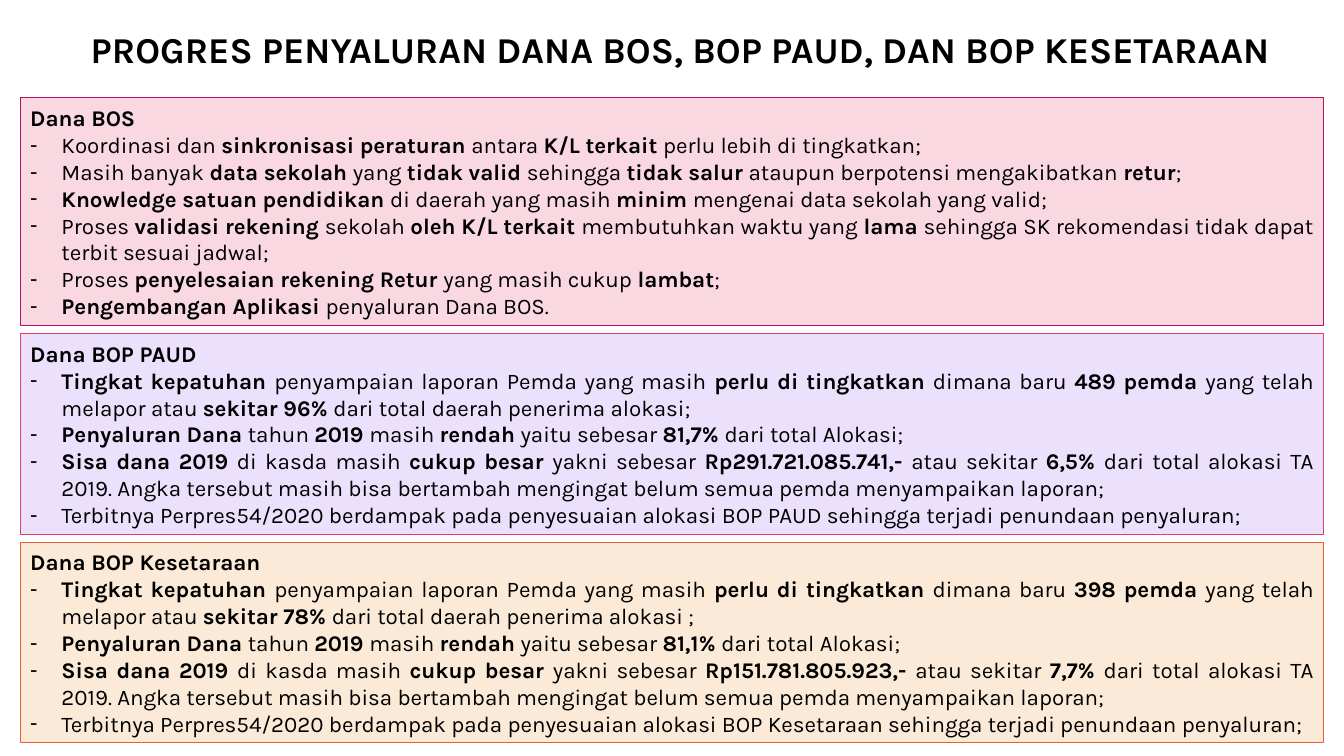
from lxml import etree
from pptx import Presentation
from pptx.dml.color import RGBColor
from pptx.enum.text import MSO_ANCHOR, MSO_AUTO_SIZE, PP_ALIGN
from pptx.oxml.ns import qn
from pptx.util import Inches, Pt

LEFT, JUST = PP_ALIGN.LEFT, PP_ALIGN.JUSTIFY
MID, NONE = MSO_ANCHOR.MIDDLE, MSO_AUTO_SIZE.NONE

THEME = {
    "font": "Karla", "text": "000000", "title": 26, "body": 16, "line": 0.75,
    "bos": ("F9D8E2", "B31166"),
    "paud": ("EBE1FC", "E33D6F"),
    "equal": ("FBEAD8", "E45F3C"),
}

# Grid in inches: each panel is as tall as its lines of text plus insets
WIDE, HIGH = 13.33, 7.5
SIDE, START, GAP = 0.2, 0.97, 0.08
ROW, INSET, HANG = 0.27, 0.1, 0.31

# Wording: ** switches bold on and off
BOS = [
    "Koordinasi dan **sinkronisasi peraturan **antara **K/L terkait **perlu lebih di tingkatkan;",
    "Masih banyak **data sekolah **yang **tidak valid **sehingga **tidak salur **"
    "ataupun berpotensi mengakibatkan **retur**;",
    "**Knowledge satuan pendidikan **di daerah yang masih **minim **mengenai data sekolah yang valid;",
    "Proses **validasi rekening **sekolah **oleh K/L terkait **membutuhkan waktu yang **lama **"
    "sehingga SK rekomendasi tidak dapat terbit sesuai jadwal;",
    "Proses **penyelesaian rekening Retur **yang masih cukup **lambat**;",
    "**Pengembangan Aplikasi **penyaluran Dana BOS.",
]
BOP = [
    "**Tingkat kepatuhan **penyampaian laporan Pemda yang masih **perlu di tingkatkan **"
    "dimana baru **{count} pemda **yang telah melapor atau **sekitar {share} **"
    "dari total daerah penerima {end}",
    "**Penyaluran Dana **tahun **2019 **masih **rendah **yaitu sebesar **{paid} **dari total Alokasi;",
    "**Sisa dana 2019 **di kasda masih **cukup besar **yakni sebesar **{rest} **"
    "atau sekitar **{part} **dari total alokasi TA 2019. Angka tersebut masih bisa bertambah "
    "mengingat belum semua pemda menyampaikan laporan;",
    "Terbitnya Perpres54/2020 berdampak pada penyesuaian alokasi BOP {name} "
    "sehingga terjadi penundaan penyaluran;",
]
PAUD = {"name": "PAUD", "count": 489, "share": "96%", "end": "alokasi;",
        "paid": "81,7%", "rest": "Rp291.721.085.741,-", "part": "6,5%"}
EQUAL = {"name": "Kesetaraan", "count": 398, "share": "78%", "end": "alokasi ;",
         "paid": "81,1%", "rest": "Rp151.781.805.923,-", "part": "7,7%"}
PANELS = [
    ("bos", "Dana BOS", BOS, 8),
    ("paud", "Dana BOP PAUD", [t.format(**PAUD) for t in BOP], 7),
    ("equal", "Dana BOP Kesetaraan", [t.format(**EQUAL) for t in BOP], 7),
]


def place(shape, box, insets):
    for key, val in zip(("left", "top", "width", "height"), box):
        setattr(shape, key, Inches(val))
    form = {"vertical_anchor": MID, "word_wrap": True, "auto_size": NONE}
    for key, val in zip(("left", "top", "right", "bottom"), insets):
        form["margin_" + key] = Inches(val)
    for key, val in form.items():
        setattr(shape.text_frame, key, val)


def write(para, text, size, style):
    for key, val in style.items():
        setattr(para, key, val)
    for i, part in enumerate(text.split("**")):
        if part:
            run = para.add_run()
            run.text = part
            form = {"name": THEME["font"], "size": Pt(size), "bold": i % 2 == 1}
            for key, val in form.items():
                setattr(run.font, key, val)
            run.font.color.rgb = RGBColor.from_string(THEME["text"])


deck = Presentation()
deck.slide_width, deck.slide_height = Inches(WIDE), Inches(HIGH)
slide = deck.slides.add_slide(deck.slide_layouts.get_by_name("Comparison"))
title, *bodies = [s for s in slide.placeholders if s.placeholder_format.idx < 5]

# Title
place(title, (0.83, 0.19, 12.38, 0.65), (0.07, 0.04, 0.07, 0.04))
write(title.text_frame.paragraphs[0],
      "**PROGRES PENYALURAN DANA BOS, BOP PAUD, DAN BOP KESETARAAN**",
      THEME["title"], {"alignment": LEFT, "line_spacing": 0.9})

# Panels: a bold heading and a dashed list in each
top = START
for body, (key, head, items, rows) in zip(bodies, PANELS):
    tall = rows * ROW + INSET
    place(body, (SIDE, top, WIDE - 2 * SIDE, tall),
          (INSET, INSET / 2, INSET, INSET / 2))
    top += tall + GAP
    fill, edge = THEME[key]
    body.fill.solid()
    body.fill.fore_color.rgb = RGBColor.from_string(fill)
    body.line.color.rgb = RGBColor.from_string(edge)
    body.line.width = Pt(THEME["line"])
    frame = body.text_frame
    for n, text in enumerate([f"**{head}**"] + items):
        para = frame.add_paragraph() if n else frame.paragraphs[0]
        hang = Inches(HANG) if n else 0
        props = para._p.get_or_add_pPr()
        props.set("marL", str(hang))
        props.set("indent", str(-hang))
        if n:
            etree.SubElement(props, qn("a:buFontTx"))
            etree.SubElement(props, qn("a:buChar")).set("char", "-")
        else:
            etree.SubElement(props, qn("a:buNone"))
        write(para, text, THEME["body"],
              {"alignment": JUST, "space_before": Pt(0), "line_spacing": 1.0})

# Drop the unused placeholder
for spare in bodies[len(PANELS):]:
    spare.element.getparent().remove(spare.element)

deck.save("out.pptx")
